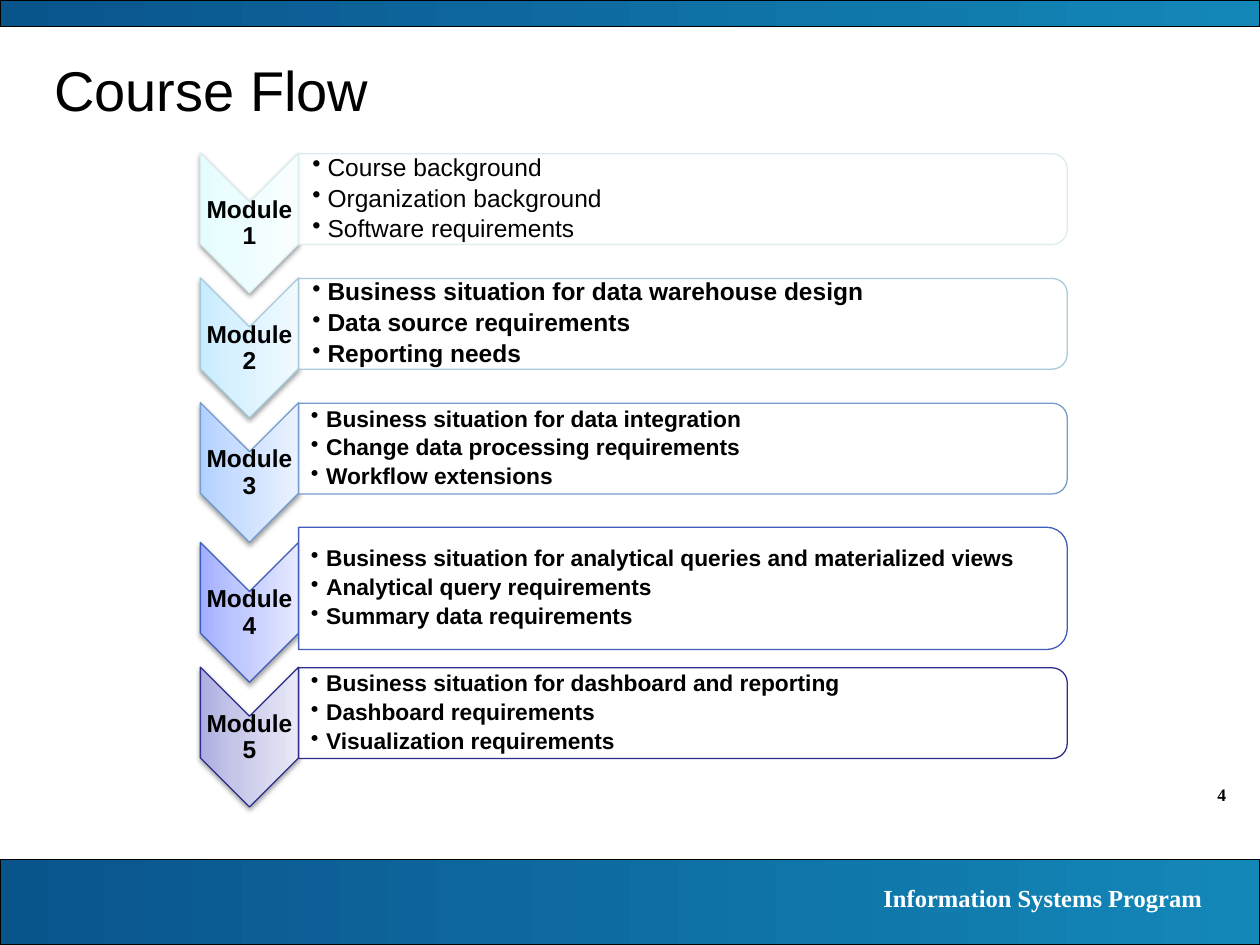
from lxml import etree
from pptx import Presentation
from pptx import util as u
from pptx.dml.color import RGBColor
from pptx.enum import shapes, text
from pptx.oxml import parse_xml
from pptx.oxml.ns import nsdecls, qn

# Card centre, card height, font size, bold, line colour, chevron gradient, bullets
MODULES = [
    (1.58, 0.72, 14, False, "DAEDEF", ("E6FDFF", "ECFDFF", "F8FEFF"),
     ["Course background", "Organization background", "Software requirements"]),
    (2.57, 0.72, 14, True, "A8CBDC", ("C9ECFF", "D8F1FF", "F0FAFF"),
     ["Business situation for data warehouse design",
      "Data source requirements", "Reporting needs"]),
    (3.56, 0.72, 13, True, "759CCB", ("B2D0FF", "C8DDFF", "EAF2FF"),
     ["Business situation for data integration",
      "Change data processing requirements", "Workflow extensions"]),
    (4.67, 0.97, 13, True, "415DBA", ("A1AEFF", "BDC6FE", "E6E9FF"),
     ["Business situation for analytical queries and materialized views",
      "Analytical query requirements", "Summary data requirements"]),
    (5.66, 0.72, 13, True, "2D2D8A", ("ADADE1", "C6C6E9", "E9E9F7"),
     ["Business situation for dashboard and reporting",
      "Dashboard requirements", "Visualization requirements"]),
]
CHEVRON_X, CHEVRON_W, CHEVRON_H, CHEVRON_DROP = 1.98, 0.78, 1.11, 0.19
CARD_X, CARD_W = 2.37, 6.1


def rgb(value):
    return RGBColor.from_string(value)


def inches(*values):
    return [u.Inches(v) for v in values]


def add_shape(s, kind, box, line):
    sp = s.shapes.add_shape(kind, *inches(*box))
    sp.shadow.inherit = False
    sp.line.color.rgb = rgb(line)
    sp.line.width = u.Pt(0.75)
    return sp


def add_turned_shape(s, kind, cx, cy, width, height, line):
    """Shape turned by 90 degrees; width and height are as seen."""
    sp = add_shape(s, kind, (cx - height / 2, cy - width / 2, height, width), line)
    sp.rotation = 90
    return sp


def set_gradient(sp, stops, angle):
    sp.fill.solid()
    old = sp.fill._xPr.find(qn("a:solidFill"))
    marks = "".join(f'<a:gs pos="{pos * 1000}"><a:srgbClr val="{c}"/></a:gs>'
                    for pos, c in stops)
    new = parse_xml(f'<a:gradFill {nsdecls("a")} rotWithShape="1"><a:gsLst>{marks}'
                    f'</a:gsLst><a:lin ang="{angle * 60000}" scaled="0"/></a:gradFill>')
    old.getparent().replace(old, new)


def set_shadow(sp):
    effects = sp.element.spPr.find(qn("a:effectLst"))
    effects.append(parse_xml(
        f'<a:outerShdw {nsdecls("a")} blurRad="{u.Pt(3.1)}" dist="{u.Pt(1.6)}" '
        'dir="5400000" rotWithShape="0"><a:srgbClr val="000000">'
        '<a:alpha val="38000"/></a:srgbClr></a:outerShdw>'))


def format_text(tf, size, font, color="000000", bold=False, align=None):
    for p in tf.paragraphs:
        p.alignment = align
        for r in p.runs:
            r.font.size = u.Pt(size)
            r.font.name = font
            r.font.bold = bold
            r.font.color.rgb = rgb(color)


def add_text(s, box, words, size, font="Arial", **style):
    tf = s.shapes.add_textbox(*inches(*box)).text_frame
    tf.word_wrap = True
    tf.text = words
    format_text(tf, size, font, **style)
    return tf


def set_tight(tf, left):
    """Middle anchor, narrow margins and close lines."""
    tf.vertical_anchor = text.MSO_ANCHOR.MIDDLE
    tf.margin_left = u.Inches(left)
    tf.margin_top = tf.margin_right = tf.margin_bottom = u.Inches(0.01)
    for p in tf.paragraphs:
        p.line_spacing = 0.9


def set_bullets(tf):
    for p in tf.paragraphs:
        p.level = 1
        p.space_after = u.Pt(2.5)
        pPr = p._p.get_or_add_pPr()
        pPr.set("marL", str(u.Inches(0.12)))
        pPr.set("indent", str(-u.Inches(0.12)))
        etree.SubElement(pPr, qn("a:buChar")).set("char", "•")


def add_band(s, top, height):
    sp = add_shape(s, shapes.MSO_SHAPE.RECTANGLE, (0, top, 10, height), "000000")
    set_gradient(sp, [(0, "0A548C"), (100, "1387B8")], 0)


def add_module(s, number, cy, height, size, bold, line, shades, bullets):
    # Chevron with its label
    chevron_y = cy + CHEVRON_DROP
    sp = add_turned_shape(s, shapes.MSO_SHAPE.CHEVRON, CHEVRON_X, chevron_y,
                          CHEVRON_W, CHEVRON_H, line)
    set_gradient(sp, zip((0, 35, 100), shades), 270)
    set_shadow(sp)
    tf = add_text(s, (CHEVRON_X - CHEVRON_W / 2, chevron_y - 0.16, CHEVRON_W, 0.33),
                  f"Module {number}", 14, bold=True, align=text.PP_ALIGN.CENTER)
    set_tight(tf, 0.01)

    # Card with its bullets
    sp = add_turned_shape(s, shapes.MSO_SHAPE.ROUND_2_SAME_RECTANGLE,
                          CARD_X + CARD_W / 2, cy, CARD_W, height, line)
    sp.fill.solid()
    sp.fill.fore_color.rgb = rgb("FFFFFF")
    color = sp.element.spPr.find(qn("a:solidFill"))[0]
    etree.SubElement(color, qn("a:alpha")).set("val", "90000")
    text_h = height - 0.07
    tf = add_text(s, (CARD_X, cy - text_h / 2, CARD_W - 0.04, text_h),
                  "\n".join(bullets), size, bold=bold)
    set_tight(tf, 0.11 if size == 14 else 0.1)
    set_bullets(tf)


def add_title(s, words):
    title = s.shapes.title
    title.left, title.top, title.width, title.height = inches(0.33, 0.33, 9.17, 0.75)
    tf = title.text_frame
    tf.text = words
    tf.vertical_anchor = text.MSO_ANCHOR.MIDDLE
    format_text(tf, 32, "Arial", align=text.PP_ALIGN.LEFT)


def main():
    prs = Presentation()
    prs.slide_width, prs.slide_height = inches(10, 7.5)
    s = prs.slides.add_slide(prs.slide_layouts[5])

    # Frame: bands, slide number and footer
    right = text.PP_ALIGN.RIGHT
    add_text(s, (9, 6.17, 0.83, 0.27), "4", 10, "Times New Roman",
             bold=True, align=right)
    add_band(s, 6.82, 0.68)
    add_band(s, 0, 0.21)
    add_text(s, (5.55, 6.96, 4.09, 0.34), "Information Systems Program", 14,
             "Times New Roman", color="FFFFFF", bold=True, align=right)

    # Title and course modules
    add_title(s, "Course Flow")
    for number, module in enumerate(MODULES, 1):
        add_module(s, number, *module)
    prs.save("out.pptx")


if __name__ == "__main__":
    main()
